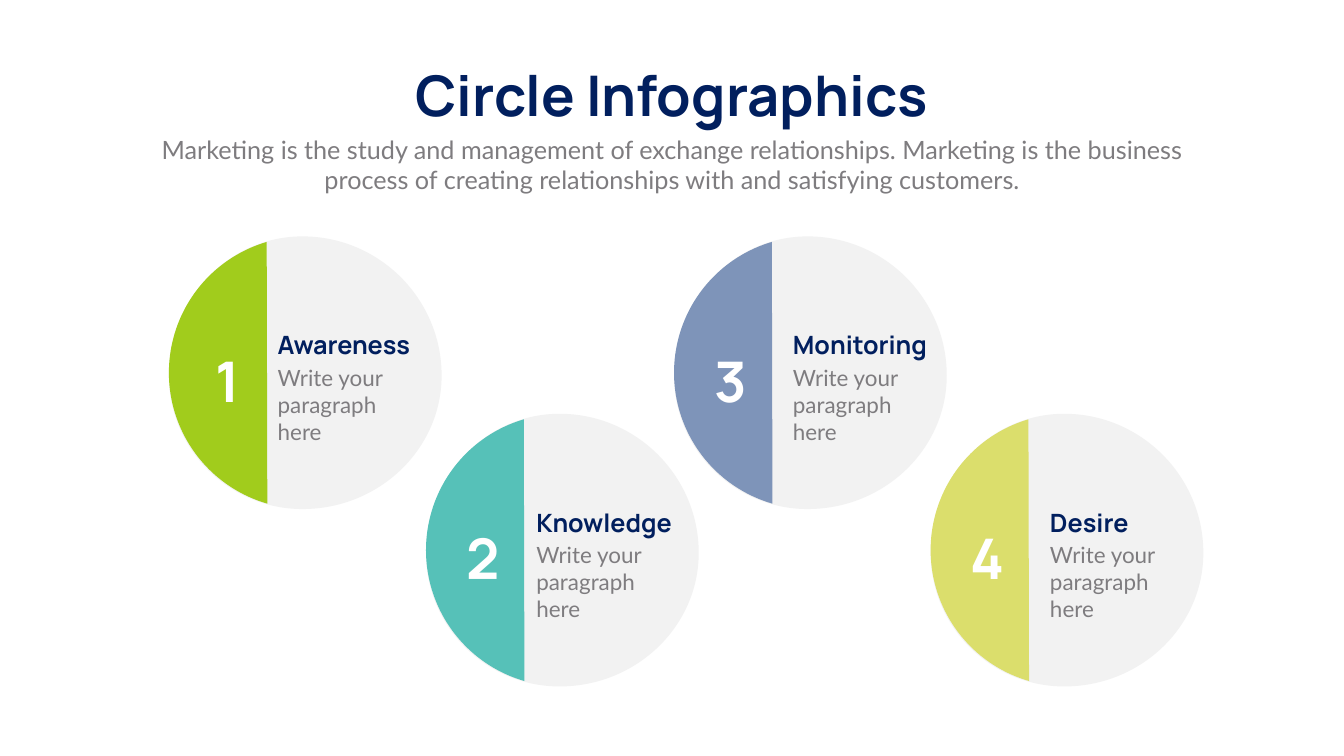
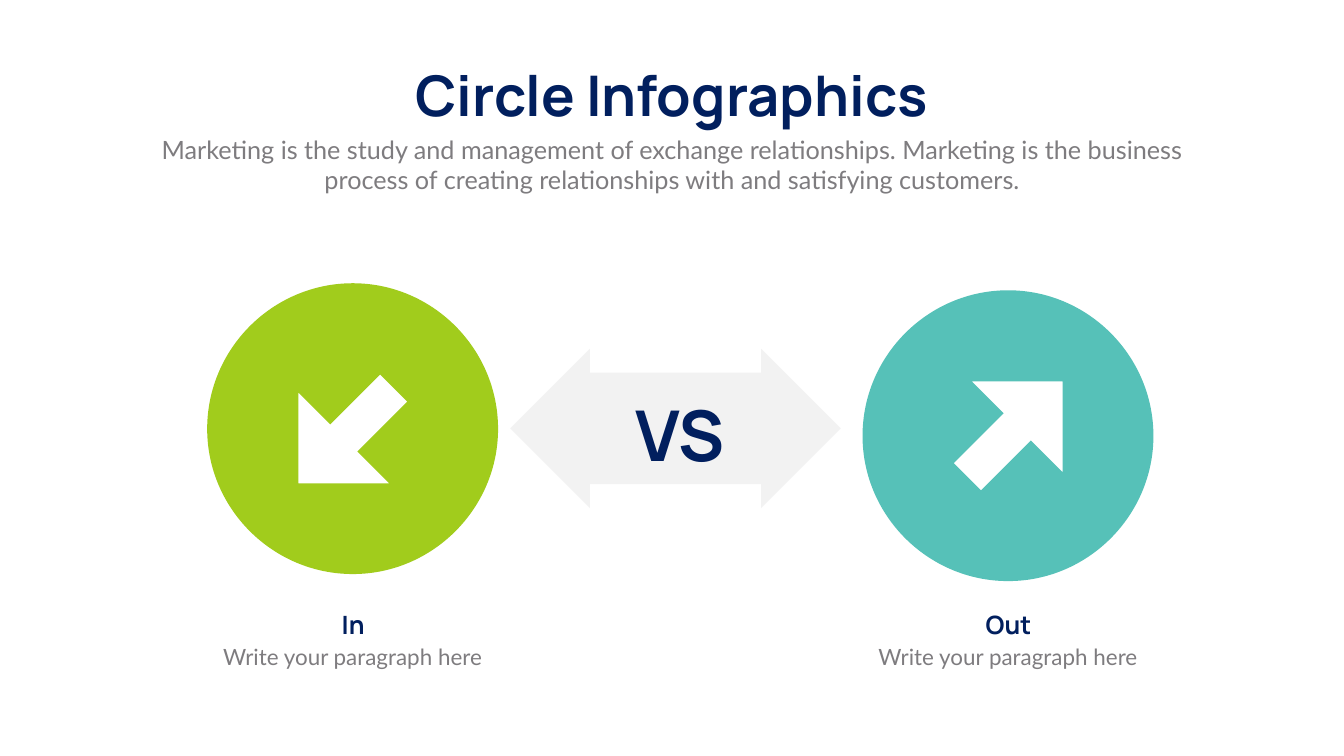
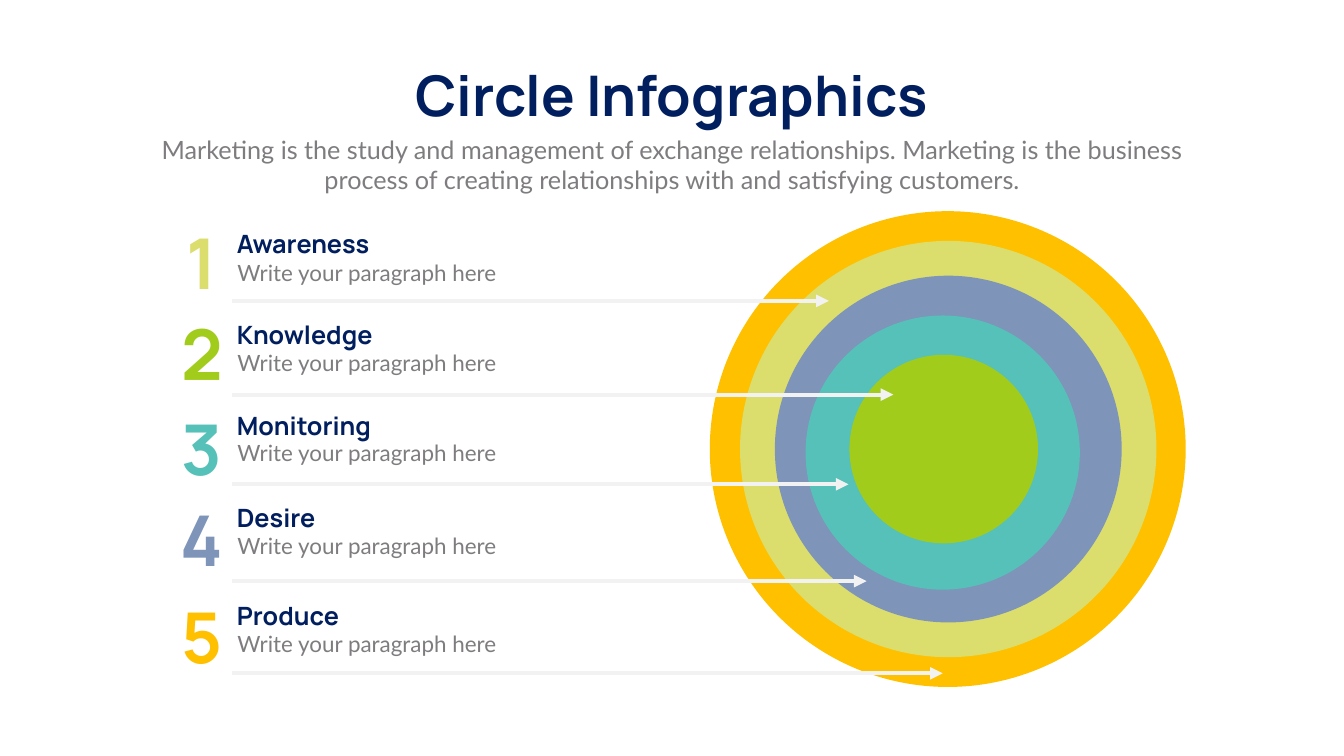
from lxml.etree import Element, SubElement
from pptx import Presentation
from pptx.dml.color import RGBColor
from pptx.enum.shapes import MSO_CONNECTOR, MSO_SHAPE
from pptx.enum.text import MSO_AUTO_SIZE, PP_ALIGN
from pptx.oxml.ns import qn
from pptx.util import Pt

PX = 9144
ROUNDNESS = 0.55
COLOURS = {
    "navy": "011F5E",
    "grey": "7E7C7F",
    "pale": "F2F2F2",
    "white": "FFFFFF",
    "green": "A1CC1C",
    "teal": "56C1B8",
    "blue": "7E94B9",
    "lime": "DBDE6C",
    "amber": "FFC000",
}
TITLE = "Circle Infographics"
SUBTITLE = (
    "Marketing is the study and management of exchange relationships. "
    "Marketing is the business process of creating relationships with "
    "and satisfying customers."
)
BODY = "Write your paragraph here"
ARROW = [(72, 108), (-108, 108), (-108, -72), (-45, -9), (54, -108), (108, -54), (9, 45)]


class Deck:
    def __init__(self):
        self.presentation = Presentation()
        self.presentation.slide_width = 2666 * PX
        self.presentation.slide_height = 1500 * PX
        self.slide = None

    def colour(self, name):
        return RGBColor.from_string(COLOURS[name])

    def add_slide(self):
        self.slide = self.presentation.slides.add_slide(self.presentation.slide_layouts[6])
        self.text(TITLE, 774, 115, 1117, 145, 80, centred=True, wrap=False)
        self.text(SUBTITLE, 292, 261, 2082, 131, 36, "grey", "Lato", centred=True)

    def text(self, words, left, top, width, height, size, colour="navy",
             font="Manrope", centred=False, wrap=True):
        box = self.slide.shapes.add_textbox(left * PX, top * PX, width * PX, height * PX)
        frame = box.text_frame
        frame.word_wrap = wrap
        frame.auto_size = MSO_AUTO_SIZE.SHAPE_TO_FIT_TEXT
        frame.text = words
        paragraph = frame.paragraphs[0]
        paragraph.alignment = PP_ALIGN.CENTER if centred else PP_ALIGN.LEFT
        run_font = paragraph.runs[0].font
        run_font.name = font
        run_font.size = Pt(size)
        run_font.bold = font == "Manrope"
        run_font.color.rgb = self.colour(colour)

    def heading(self, words, left, top, width=323, centred=False):
        self.text(words, left, top, width, 71, 36, centred=centred)

    def body(self, left, top, width, height=64, centred=False):
        self.text(BODY, left, top, width, height, 32, "grey", "Lato", centred)

    def paint(self, shape, colour):
        shape.shadow.inherit = False
        shape.fill.solid()
        shape.fill.fore_color.rgb = self.colour(colour)
        shape.line.fill.background()

    def shape(self, kind, left, top, width, height, colour, adjustments=()):
        shape = self.slide.shapes.add_shape(kind, left * PX, top * PX, width * PX, height * PX)
        for index, value in enumerate(adjustments):
            shape.adjustments[index] = value
        self.paint(shape, colour)

    def disc(self, left, top, size, pole_x, pole_y, colour, cutout=()):
        rim = [(size, pole_y), (pole_x, size), (0, pole_y), (pole_x, 0), (size, pole_y)]
        corners = [(size, size), (0, size), (0, 0), (size, 0)]
        placed_rim = [(left + x, top + y) for x, y in rim]
        builder = self.slide.shapes.build_freeform(*placed_rim[0], scale=PX)
        builder.add_line_segments(placed_rim[1:], close=True)
        if cutout:
            hole = [(left + pole_x + x, top + pole_y + y) for x, y in cutout]
            builder.move_to(*hole[0])
            builder.add_line_segments(hole[1:], close=True)
        shape = builder.convert_to_shape()
        segments = list(shape.element.iter(qn("a:lnTo")))
        for segment, start, corner, end in zip(segments, rim, corners, rim[1:]):
            self.bend(segment, start, corner, end)
        self.paint(shape, colour)

    def bend(self, segment, start, corner, end):
        controls = [
            [round(a + ROUNDNESS * (b - a)) for a, b in zip(point, corner)]
            for point in (start, end)
        ]
        curve = Element(qn("a:cubicBezTo"))
        for x, y in controls + [end]:
            SubElement(curve, qn("a:pt"), x=str(x), y=str(y))
        segment.getparent().replace(segment, curve)

    def pointer(self, left, right, y):
        connector = self.slide.shapes.add_connector(
            MSO_CONNECTOR.STRAIGHT, left * PX, y * PX, right * PX, y * PX)
        connector.line.color.rgb = self.colour("pale")
        connector.line.width = Pt(6)
        properties = connector.element.spPr
        SubElement(properties.find(qn("a:ln")), qn("a:tailEnd"), type="triangle")
        SubElement(properties, qn("a:effectLst"))


def build_steps(deck):
    deck.add_slide()
    size = 541
    upper, lower = (469, 683), (821, 1034)
    steps = [
        ("Awareness", 335, upper, 206, 323, 62, "green"),
        ("Knowledge", 845, lower, 209, 314, 84, "teal"),
        ("Monitoring", 1337, upper, 226, 381, 88, "blue"),
        ("Desire", 1846, lower, 227, 333, 96, "lime"),
    ]
    for number, step in enumerate(steps, 1):
        name, left, (top, number_top), indent, heading_width, number_width, colour = step
        deck.disc(left, top, size, 265, 276, "pale")
        deck.shape(MSO_SHAPE.CHORD, left, top, size, size, colour, (63.69, 152.15))
        deck.body(left + indent, top + 248, 267, 164)
        deck.heading(name, left + indent, top + 180, heading_width)
        deck.text(str(number), left + 113 - number_width // 2, number_top, number_width,
                  145, 80, "white", centred=True, wrap=False)


def build_versus(deck):
    deck.add_slide()
    sides = [("In", 411, 562, 1, "green"), ("Out", 1711, 576, -1, "teal")]
    for name, left, top, direction, colour in sides:
        cutout = [(direction * x, direction * y) for x, y in ARROW]
        deck.disc(left, top, 577, 289, 289, colour, cutout)
    for name, left, *_ in sides:
        deck.body(left, 1271, 577, centred=True)
        deck.heading(name, left + 128, 1204, centred=True)
    deck.shape(MSO_SHAPE.LEFT_RIGHT_ARROW, 1012, 692, 656, 316, "pale", (0.7, 0.5))
    deck.text("VS", 1188, 772, 323, 178, 100, centred=True)


def build_rings(deck):
    deck.add_slide()
    rings = [
        (1408, 419, 944, "amber"),
        (1468, 478, 826, "lime"),
        (1537, 547, 688, "blue"),
        (1598, 626, 544, "teal"),
        (1685, 704, 374, "green"),
    ]
    for left, top, size, colour in rings:
        deck.shape(MSO_SHAPE.OVAL, left, top, size, size, colour)
    rows = [
        ("Awareness", 449, 509, 431, 597, 1644, "lime"),
        ("Knowledge", 628, 688, 611, 783, 1772, "green"),
        ("Monitoring", 810, 867, 800, 961, 1683, "teal"),
        ("Desire", 992, 1051, 981, 1153, 1719, "blue"),
        ("Produce", 1187, 1246, 1172, 1336, 1870, "amber"),
    ]
    for name, heading_top, body_top, *_ in rows:
        deck.body(461, body_top, 572)
        deck.heading(name, 460, heading_top)
    for *_, line_y, tip, _ in rows:
        deck.pointer(460, tip, line_y)
    for number, (*_, number_top, _, _, colour) in enumerate(rows, 1):
        deck.text(str(number), 346, number_top, 110, 178, 100, colour, centred=True)


def main():
    deck = Deck()
    build_steps(deck)
    build_versus(deck)
    build_rings(deck)
    deck.presentation.save("out.pptx")


if __name__ == "__main__":
    main()
